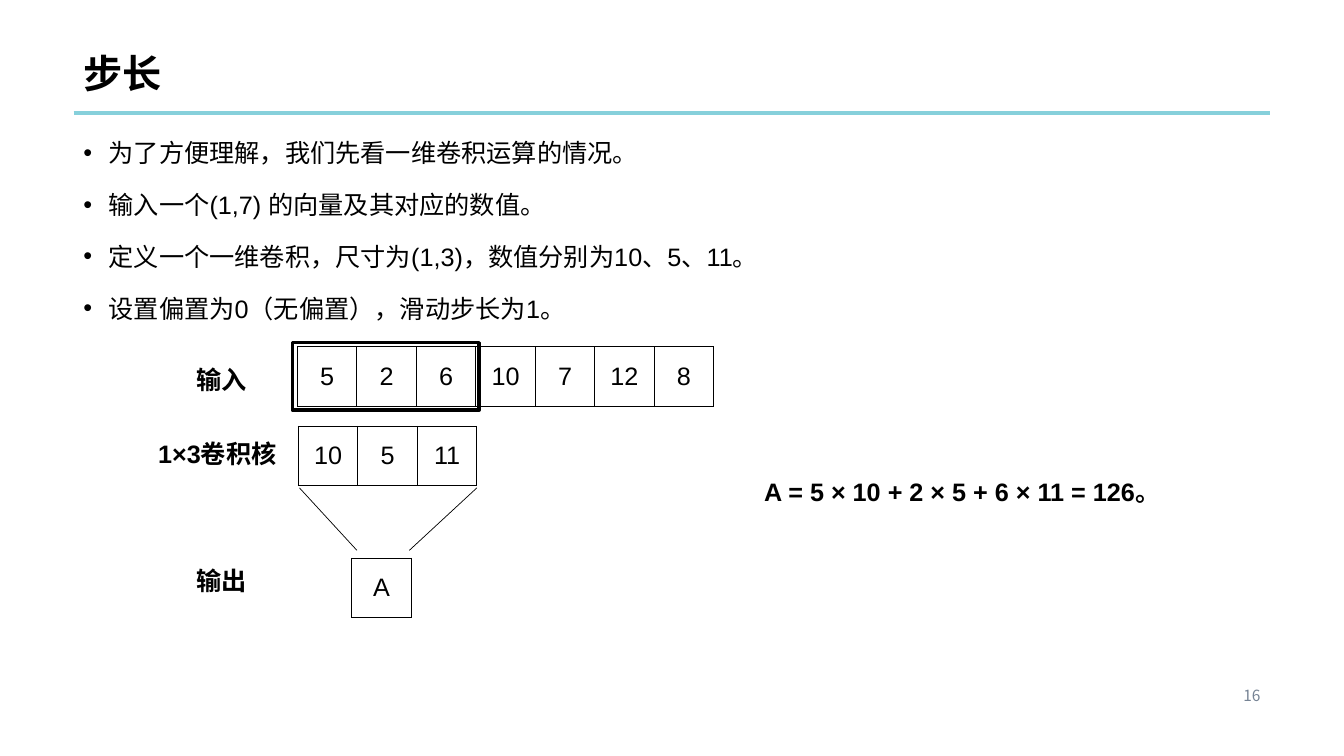
from dataclasses import dataclass

import lxml.etree
import pptx
import pptx.dml.color
import pptx.enum.shapes
import pptx.enum.text
import pptx.oxml.ns
import pptx.shapes.connector
import pptx.shapes.shapetree
import pptx.text.text
import pptx.util

Inches = pptx.util.Inches
Pt = pptx.util.Pt
qn = pptx.oxml.ns.qn
Align = pptx.enum.text.PP_ALIGN
Anchor = pptx.enum.text.MSO_ANCHOR

BLACK = "000000"
CJK_FONT = "Noto Sans CJK SC"
CELL = 0.59


@dataclass(frozen=True)
class Label:
    text: str
    left: float
    top: float
    width: float


@dataclass(frozen=True)
class CellRow:
    values: tuple[str, ...]
    left: float
    top: float


@dataclass(frozen=True)
class Segment:
    start: tuple[float, float]
    end: tuple[float, float]
    color: str
    weight: float


STEPS = (
    "为了方便理解，我们先看一维卷积运算的情况。",
    "输入一个(1,7) 的向量及其对应的数值。",
    "定义一个一维卷积，尺寸为(1,3)，数值分别为10、5、11。",
    "设置偏置为0（无偏置），滑动步长为1。",
)
CELL_ROWS = (
    CellRow(("5", "2", "6", "10", "7", "12", "8"), 2.95, 3.44),
    CellRow(("10", "5", "11"), 2.96, 4.23),
    CellRow(("A",), 3.49, 5.54),
)
LABELS = (
    Label("输入", 1.85, 3.57, 0.71),
    Label("1×3卷积核", 1.47, 4.3, 1.43),
    Label("输出", 1.85, 5.56, 0.71),
    Label("A = 5 × 10 + 2 × 5 + 6 × 11 = 126。", 7.48, 4.68, 4.31),
)
SEGMENTS = (
    Segment((0.73, 1.12), (12.6, 1.12), "86D0DB", 3),
    Segment((2.97, 4.84), (3.54, 5.46), BLACK, 0.5),
    Segment((4.73, 4.84), (4.06, 5.46), BLACK, 0.5),
)


def rgb(color: str) -> pptx.dml.color.RGBColor:
    return pptx.dml.color.RGBColor.from_string(color)


def write(paragraph: pptx.text.text._Paragraph, text: str, *, size: float = 18,
          font: str = "Arial", color: str = BLACK, bold: bool = False,
          align: Align = Align.LEFT, spacing: float = 1.0) -> None:
    paragraph.alignment = align
    paragraph.line_spacing = spacing
    run = paragraph.add_run()
    run.text = text
    run.font.size = Pt(size)
    run.font.name = font
    run.font.bold = bold
    run.font.color.rgb = rgb(color)
    east_asian = lxml.etree.SubElement(run.font._element, qn("a:ea"))
    east_asian.set("typeface", CJK_FONT)


def add_frame(shapes: pptx.shapes.shapetree.SlideShapes, left: float, top: float,
              width: float, height: float, *, wrap: bool = True,
              anchor: Anchor = Anchor.TOP) -> pptx.text.text.TextFrame:
    frame = shapes.add_textbox(Inches(left), Inches(top),
                               Inches(width), Inches(height)).text_frame
    frame.word_wrap = wrap
    frame.vertical_anchor = anchor
    return frame


def add_bullet(paragraph: pptx.text.text._Paragraph) -> None:
    properties = paragraph._p.get_or_add_pPr()
    properties.set("marL", str(Inches(0.25)))
    properties.set("indent", str(-Inches(0.25)))
    lxml.etree.SubElement(properties, qn("a:buFont")).set("typeface", "Arial")
    lxml.etree.SubElement(properties, qn("a:buChar")).set("char", "•")


def add_steps(shapes: pptx.shapes.shapetree.SlideShapes) -> None:
    frame = add_frame(shapes, 0.73, 1.24, 11.87, 5.48)
    for index, step in enumerate(STEPS):
        paragraph = frame.add_paragraph() if index else frame.paragraphs[0]
        add_bullet(paragraph)
        paragraph.space_before = Pt(10 if index else 0)
        write(paragraph, step, spacing=1.25)


def add_borders(cell: pptx.table._Cell) -> None:
    properties = cell._tc.get_or_add_tcPr()
    for position, side in enumerate(("a:lnL", "a:lnR", "a:lnT", "a:lnB")):
        border = lxml.etree.Element(qn(side), w=str(Pt(1)))
        fill = lxml.etree.SubElement(border, qn("a:solidFill"))
        lxml.etree.SubElement(fill, qn("a:srgbClr")).set("val", BLACK)
        properties.insert(position, border)


def add_cells(shapes: pptx.shapes.shapetree.SlideShapes, row: CellRow) -> None:
    count = len(row.values)
    table = shapes.add_table(1, count, Inches(row.left), Inches(row.top),
                             Inches(CELL * count), Inches(CELL)).table
    table.first_row = False
    table.horz_banding = False
    for index, value in enumerate(row.values):
        table.columns[index].width = Inches(CELL)
        cell = table.cell(0, index)
        cell.fill.background()
        cell.vertical_anchor = Anchor.MIDDLE
        add_borders(cell)
        write(cell.text_frame.paragraphs[0], value, align=Align.CENTER)


def add_segment(shapes: pptx.shapes.shapetree.SlideShapes, segment: Segment) -> None:
    line = shapes.add_connector(pptx.enum.shapes.MSO_CONNECTOR.STRAIGHT,
                                *map(Inches, segment.start + segment.end))
    line.line.color.rgb = rgb(segment.color)
    line.line.width = Pt(segment.weight)
    lxml.etree.SubElement(line._element.spPr, qn("a:effectLst"))


def add_window(shapes: pptx.shapes.shapetree.SlideShapes) -> None:
    """Outline the inputs that the kernel covers."""
    window = shapes.add_shape(pptx.enum.shapes.MSO_SHAPE.RECTANGLE, Inches(2.9),
                              Inches(3.4), Inches(1.85), Inches(0.67))
    window.shadow.inherit = False
    window.fill.background()
    window.line.color.rgb = rgb(BLACK)
    window.line.width = Pt(2.5)


def main() -> None:
    deck = pptx.Presentation()
    deck.slide_width = Inches(13.33)
    deck.slide_height = Inches(7.5)
    shapes = deck.slides.add_slide(deck.slide_layouts[6]).shapes

    title = add_frame(shapes, 0.73, 0, 11.87, 1.01, anchor=Anchor.BOTTOM)
    write(title.paragraphs[0], "步长", size=28, bold=True, spacing=0.9)
    add_steps(shapes)
    for row in CELL_ROWS:
        add_cells(shapes, row)
    for label in LABELS:
        frame = add_frame(shapes, label.left, label.top, label.width, 0.4, wrap=False)
        write(frame.paragraphs[0], label.text, bold=True)
    add_window(shapes)
    for segment in SEGMENTS:
        add_segment(shapes, segment)
    page_number = add_frame(shapes, 10.96, 6.76, 1.64, 0.29)
    write(page_number.paragraphs[0], "16", size=11, font=CJK_FONT,
          color="768394", align=Align.RIGHT)

    deck.save("out.pptx")


if __name__ == "__main__":
    main()
